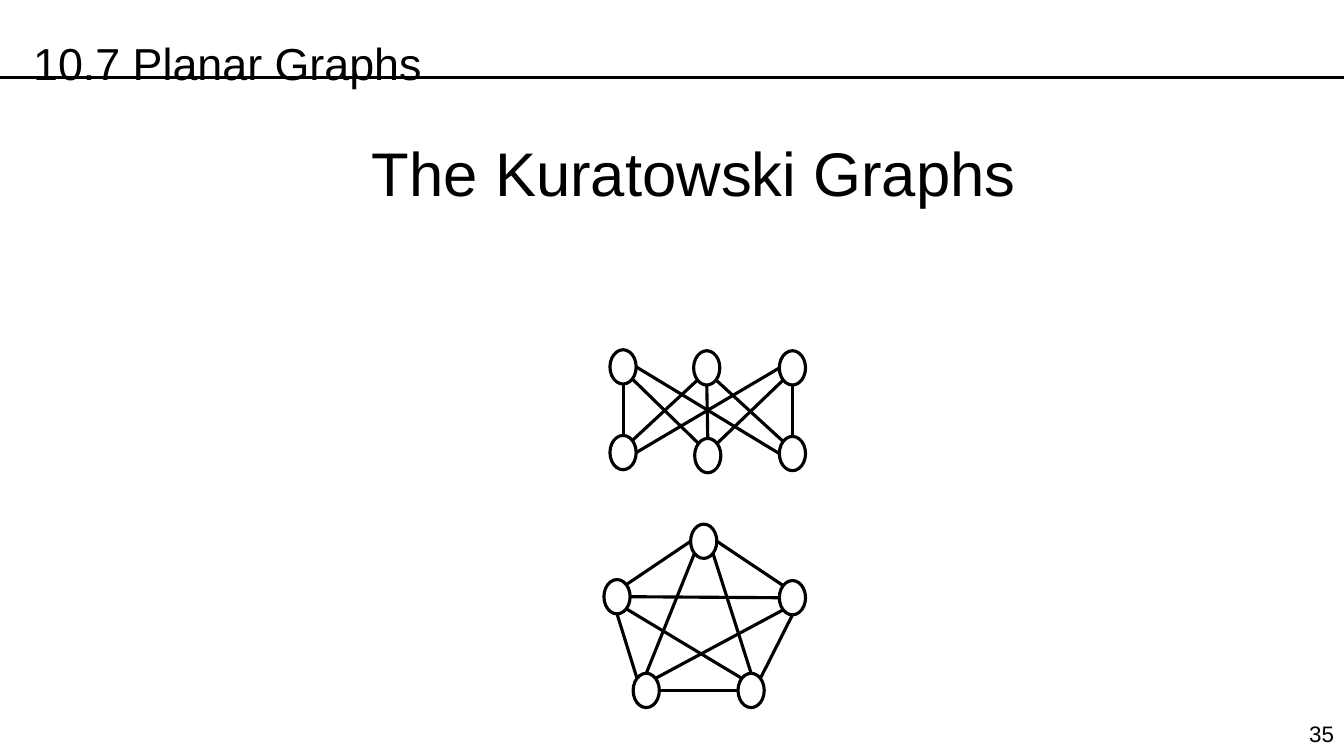
from dataclasses import dataclass
from enum import Enum
from math import sqrt

from lxml.etree import SubElement
from pptx import Presentation
from pptx.dml.color import RGBColor
from pptx.enum.shapes import MSO_CONNECTOR, MSO_SHAPE
from pptx.enum.text import MSO_ANCHOR, PP_ALIGN
from pptx.oxml.ns import qn
from pptx.shapes.base import BaseShape
from pptx.slide import Slide
from pptx.util import Inches, Pt


@dataclass(frozen=True)
class Theme:
    font: str = "Arial"
    ink: RGBColor = RGBColor(0, 0, 0)
    title_size: int = 44
    section_size: int = 32
    number_size: int = 16
    line_width: float = 2.25


THEME = Theme()
VERTEX_WIDTH, VERTEX_HEIGHT = 0.26, 0.34
DIAGONAL = 1 / sqrt(2)


class Site(Enum):
    """Points on a vertex outline, as fractions of its radii."""
    N = (0, -1)
    NE = (DIAGONAL, -DIAGONAL)
    E = (1, 0)
    SE = (DIAGONAL, DIAGONAL)
    S = (0, 1)
    SW = (-DIAGONAL, DIAGONAL)
    W = (-1, 0)
    NW = (-DIAGONAL, -DIAGONAL)


@dataclass(frozen=True)
class Vertex:
    left: float
    top: float

    def point(self, site: Site) -> tuple[float, float]:
        across, down = site.value
        return (self.left + VERTEX_WIDTH / 2 * (1 + across),
                self.top + VERTEX_HEIGHT / 2 * (1 + down))


@dataclass(frozen=True)
class Edge:
    start: str
    start_site: Site
    end: str
    end_site: Site


@dataclass(frozen=True)
class Graph:
    vertices: dict[str, Vertex]
    edges: list[Edge]


@dataclass(frozen=True)
class Label:
    text: str
    left: float
    top: float
    width: float
    height: float
    size: int
    align: PP_ALIGN
    margin_top: float = 0.05
    line_spacing: float = 1.0


BIPARTITE = Graph(
    {"top1": Vertex(6.05, 3.47), "top2": Vertex(6.88, 3.48), "top3": Vertex(7.73, 3.48),
     "low1": Vertex(6.05, 4.32), "low2": Vertex(6.89, 4.35), "low3": Vertex(7.73, 4.33)},
    [Edge("top1", Site.S, "low1", Site.N),
     Edge("top1", Site.SE, "low2", Site.NW),
     Edge("top1", Site.E, "low3", Site.W),
     Edge("top2", Site.SW, "low1", Site.NE),
     Edge("top2", Site.S, "low2", Site.N),
     Edge("top2", Site.SE, "low3", Site.NW),
     Edge("top3", Site.W, "low1", Site.E),
     Edge("top3", Site.SW, "low2", Site.NE),
     Edge("top3", Site.S, "low3", Site.N)],
)
PENTAGON = Graph(
    {"apex": Vertex(6.85, 5.2), "left": Vertex(5.99, 5.75), "right": Vertex(7.73, 5.76),
     "low_left": Vertex(6.28, 6.68), "low_right": Vertex(7.32, 6.68)},
    [Edge("apex", Site.W, "left", Site.NE),
     Edge("apex", Site.E, "right", Site.NW),
     Edge("apex", Site.SW, "low_left", Site.N),
     Edge("apex", Site.SE, "low_right", Site.N),
     Edge("left", Site.E, "right", Site.W),
     Edge("left", Site.S, "low_left", Site.NW),
     Edge("left", Site.SE, "low_right", Site.NW),
     Edge("right", Site.SW, "low_left", Site.NE),
     Edge("right", Site.S, "low_right", Site.NE),
     Edge("low_left", Site.E, "low_right", Site.W)],
)
TITLE = Label("The Kuratowski Graphs", 2.6, 1.24, 8.57, 1.54,
              THEME.title_size, PP_ALIGN.CENTER, margin_top=0.1)
SECTION = Label("10.7 Planar Graphs", 0.23, 0, 12.09, 0.81,
                THEME.section_size, PP_ALIGN.LEFT, margin_top=0.09, line_spacing=1.5)
PAGE_NUMBER = Label("35", 12.7, 7.1, 0.63, 0.37, THEME.number_size, PP_ALIGN.RIGHT)


def write_label(box: BaseShape, label: Label) -> None:
    box.left, box.top = Inches(label.left), Inches(label.top)
    box.width, box.height = Inches(label.width), Inches(label.height)
    frame = box.text_frame
    frame.word_wrap = True
    frame.vertical_anchor = MSO_ANCHOR.TOP
    frame.margin_top = Inches(label.margin_top)
    para = frame.paragraphs[0]
    para.alignment = label.align
    para.line_spacing = label.line_spacing
    para.space_before = Pt(0)
    span = para.add_run()
    span.text = label.text
    span.font.name = THEME.font
    span.font.size = Pt(label.size)
    span.font.color.rgb = THEME.ink


def add_label(page: Slide, label: Label) -> None:
    write_label(page.shapes.add_textbox(0, 0, 0, 0), label)


def add_line(page: Slide, start: tuple[float, float], end: tuple[float, float]) -> None:
    ends = [Inches(length) for length in (*start, *end)]
    line = page.shapes.add_connector(MSO_CONNECTOR.STRAIGHT, *ends)
    line.line.color.rgb = THEME.ink
    line.line.width = Pt(THEME.line_width)
    SubElement(line._element.spPr, qn("a:effectLst"))


def add_vertex(page: Slide, vertex: Vertex) -> None:
    oval = page.shapes.add_shape(MSO_SHAPE.OVAL, Inches(vertex.left), Inches(vertex.top),
                                 Inches(VERTEX_WIDTH), Inches(VERTEX_HEIGHT))
    oval.shadow.inherit = False
    oval.fill.background()
    oval.line.color.rgb = THEME.ink
    oval.line.width = Pt(THEME.line_width)


def add_graph(page: Slide, graph: Graph) -> None:
    for vertex in graph.vertices.values():
        add_vertex(page, vertex)
    for edge in graph.edges:
        add_line(page, graph.vertices[edge.start].point(edge.start_site),
                 graph.vertices[edge.end].point(edge.end_site))


def main() -> None:
    deck = Presentation()
    deck.slide_width, deck.slide_height = Inches(13.33), Inches(7.5)
    page = deck.slides.add_slide(deck.slide_layouts[5])

    # Header rule and page number
    add_line(page, (0, 0.77), (13.33, 0.77))
    add_label(page, PAGE_NUMBER)

    # Title and section name
    write_label(page.shapes.title, TITLE)
    add_label(page, SECTION)

    # The two graphs
    for graph in (BIPARTITE, PENTAGON):
        add_graph(page, graph)

    deck.save("out.pptx")


if __name__ == "__main__":
    main()
